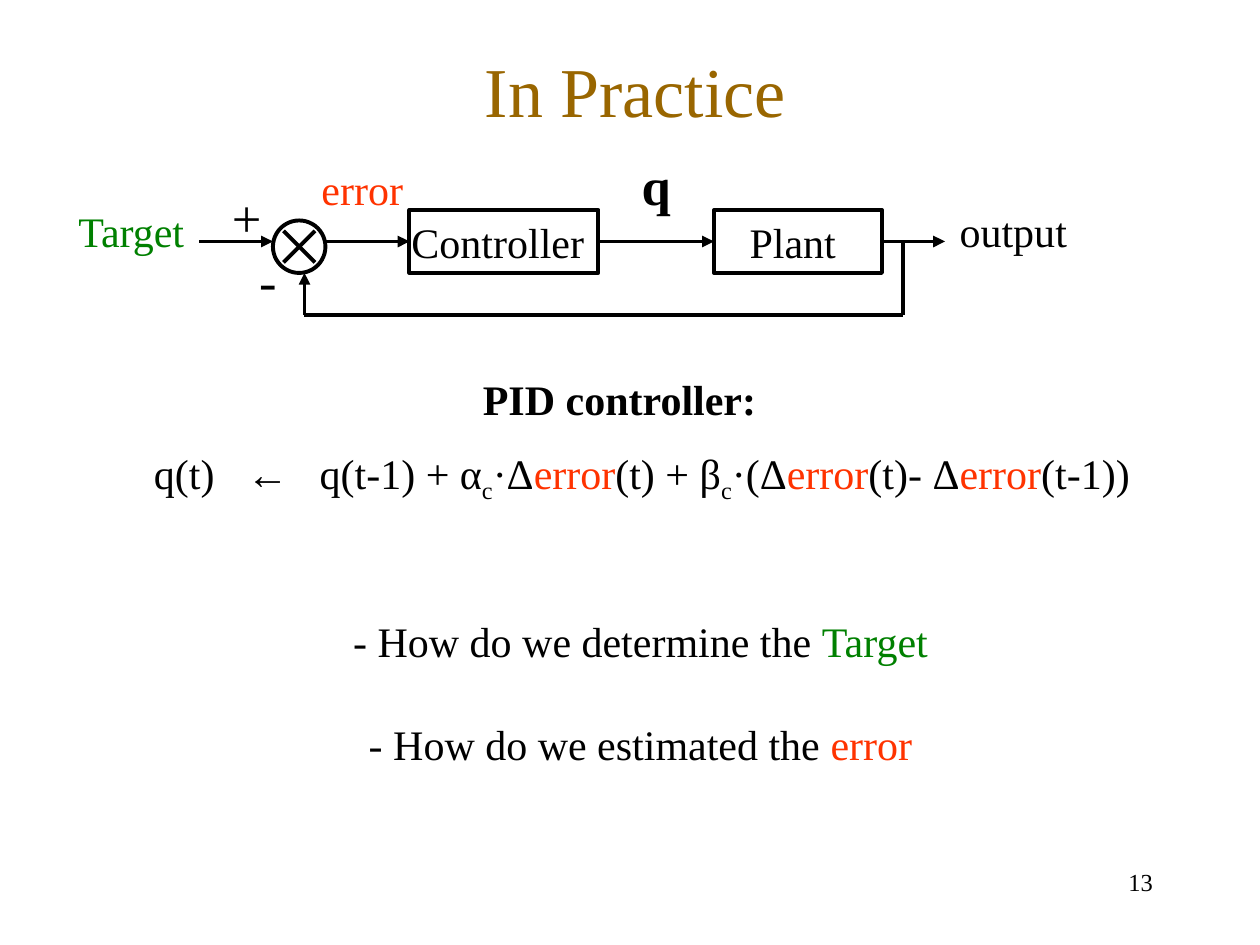
from pptx import Presentation
from pptx.dml.color import RGBColor as Rgb
from pptx.enum.shapes import MSO_CONNECTOR as Conn, MSO_SHAPE as Kind
from pptx.enum.text import MSO_ANCHOR as Anchor, MSO_AUTO_SIZE as Auto, PP_ALIGN as Align
from pptx.oxml.ns import qn
from pptx.util import Pt
from lxml.etree import SubElement as Sub

BLACK, RED, GREEN, GOLD = "000000", "FF3300", "008000", "996600"


def tint(code):
    return Rgb.from_string(code)


def apply(item, values):
    for name, value in values.items():
        setattr(item, name, value)


class Sketch:
    face = "Times New Roman"
    width = Pt(2.25)

    def __init__(self, slide):
        self.slide = slide
        self.shapes = slide.shapes

    def fill(self, par, parts, size, align, bold=False):
        par.alignment = align
        for words, code, base in parts:
            run = par.add_run()
            run.text = words
            apply(run.font, {"name": self.face, "size": Pt(size), "bold": bold})
            run.font.color.rgb = tint(code)
            if base:
                run._r.get_or_add_rPr().set("baseline", str(base))

    def title(self, words, left, top, wide, high):
        head = self.shapes.title
        apply(head, {"left": Pt(left), "top": Pt(top), "width": Pt(wide), "height": Pt(high)})
        head.text_frame.vertical_anchor = Anchor.MIDDLE
        self.fill(head.text_frame.paragraphs[0], [(words, GOLD, 0)], 40, Align.CENTER)

    def text(self, rows, left, top, wide, high, size=24, bold=False,
             align=Align.CENTER, gap=0, stops=(), **form):
        box = self.shapes.add_textbox(Pt(left), Pt(top), Pt(wide), Pt(high))
        frame = box.text_frame
        apply(frame, {"word_wrap": True, "auto_size": Auto.SHAPE_TO_FIT_TEXT, **form})
        for num, parts in enumerate(rows):
            par = frame.add_paragraph() if num else frame.paragraphs[0]
            if num:
                par.space_before = Pt(gap)
            if stops:
                tabs = Sub(par._p.get_or_add_pPr(), qn("a:tabLst"))
                for stop in stops:
                    Sub(tabs, qn("a:tab"), pos=str(Pt(stop)), algn="l")
            self.fill(par, parts, size, align, bold)

    def label(self, words, left, top, wide=90, high=36, code=BLACK, **form):
        self.text([[(words, code, 0)]], left, top, wide, high, **form)

    def block(self, kind, left, top, wide, high):
        shape = self.shapes.add_shape(kind, Pt(left), Pt(top), Pt(wide), Pt(high))
        shape.shadow.inherit = False
        shape.fill.background()
        shape.line.color.rgb = tint(BLACK)
        shape.line.width = self.width

    def line(self, start, end, arrow=False):
        ends = [Pt(num) for num in (*start, *end)]
        link = self.shapes.add_connector(Conn.STRAIGHT, *ends)
        link.line.color.rgb = tint(BLACK)
        link.line.width = self.width
        if arrow:
            Sub(link.line._get_or_add_ln(), qn("a:tailEnd"), type="triangle")
        Sub(link._element.spPr, qn("a:effectLst"))


def main():
    deck = Presentation()
    deck.slide_width, deck.slide_height = Pt(720), Pt(540)
    art = Sketch(deck.slides.add_slide(deck.slide_layouts[5]))

    art.title("In Practice", 6, 6, 714, 90)

    art.block(Kind.OVAL, 156, 126, 30, 30)
    art.block(Kind.RECTANGLE, 234, 120, 108, 36)
    art.block(Kind.RECTANGLE, 408, 120, 96, 36)
    art.line((162, 132), (180, 150))
    art.line((180, 132), (162, 150))

    flow = 138
    for start, end in ((114, 156), (186, 234), (342, 408), (504, 540)):
        art.line((start, flow), (end, flow), True)
    art.line((516, flow), (516, 180))
    art.line((516, 180), (174, 180))
    art.line((174, 180), (174, 156), True)

    art.label("Controller", 228, 120, 113, word_wrap=False)
    art.label("Plant", 408, 120)
    art.label("error", 162, 90, code=RED)
    art.label("output", 534, 114)
    art.label("Target", 30, 114, code=GREEN)
    art.label("-", 108, 138, high=43, size=30)
    art.label("+", 96, 102, high=43, size=30)
    art.label("q", 330, 84, high=43, size=30, bold=True)

    rule = [
        ("q(t)\t←\tq(t-1) + α", BLACK, 0), ("c", BLACK, -25000),
        ("·Δ", BLACK, 0), ("error", RED, 0),
        ("(t) + β", BLACK, 0), ("c", BLACK, -25000),
        ("·(Δ", BLACK, 0), ("error", RED, 0),
        ("(t)- Δ", BLACK, 0), ("error", RED, 0), ("(t-1))", BLACK, 0),
    ]
    art.text([rule], 0, 252, 720, 40, align=Align.LEFT, stops=(53, 94.7),
             margin_left=Pt(88))
    art.label("PID controller:", 258, 210, 192, bold=True)

    asks = [
        [("- How do we determine the ", BLACK, 0), ("Target", GREEN, 0)],
        [("- How do we estimated the ", BLACK, 0), ("error", RED, 0)],
    ]
    art.text(asks, 6, 348, 720, 94, gap=30)
    art.label("13", 516, 492, 150, size=14, align=Align.RIGHT, auto_size=Auto.NONE)

    deck.save("out.pptx")


if __name__ == "__main__":
    main()
